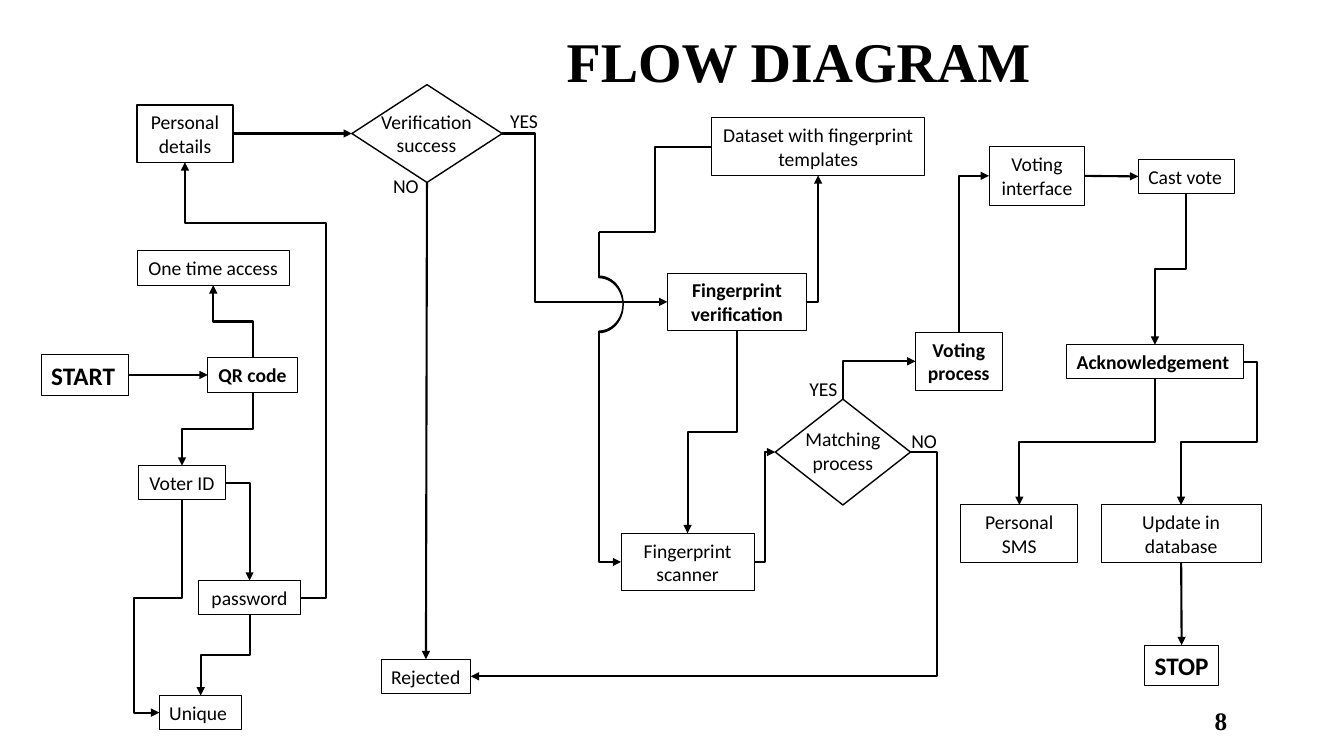
from lxml import etree
from pptx import Presentation
from pptx.dml.color import RGBColor
from pptx.enum.shapes import MSO_CONNECTOR as Link, MSO_SHAPE as Form
from pptx.enum.text import MSO_ANCHOR as Anchor, MSO_AUTO_SIZE as AutoSize, PP_ALIGN as Align
from pptx.oxml.ns import qn
from pptx.util import Inches, Pt

BLACK = "000000"
SIDES = ["top", "left", "bottom", "right"]  # order of the connection sites
UPRIGHT = ("top", "bottom")

deck = Presentation()
deck.slide_width, deck.slide_height = Inches(13.33), Inches(7.5)
page = deck.slides.add_slide(deck.slide_layouts[6])
boxes = {}


def write(box, text, size=14, bold=False, align=Align.CENTER, font="Calibri"):
    frame = box.text_frame
    frame.word_wrap = True
    para = frame.paragraphs[0]
    para.alignment = align
    span = para.add_run()
    span.text = text
    span.font.name, span.font.size, span.font.bold = font, Pt(size), bold
    span.font.color.rgb = RGBColor.from_string(BLACK)
    return frame


def join(start, end, bends=(), arrow=True):
    """Link two (box name or point, side) ends; bends are the elbow adjustments."""
    (source, start_side), (target, end_side) = start, end
    link = page.shapes.add_connector(Link.STRAIGHT, 0, 0, 0, 0)
    if source in boxes:
        link.begin_connect(boxes[source], SIDES.index(start_side))
    else:
        link.begin_x, link.begin_y = map(Inches, source)
    if target in boxes:
        link.end_connect(boxes[target], SIDES.index(end_side))
    else:
        link.end_x, link.end_y = map(Inches, target)
    link.line.width = Pt(1.5)
    link.line.color.rgb = RGBColor.from_string(BLACK)
    props = link._element.spPr
    if arrow:
        etree.SubElement(props.find(qn("a:ln")), qn("a:tailEnd"), type="triangle")
    etree.SubElement(props, qn("a:effectLst"))

    dx, dy = link.end_x - link.begin_x, link.end_y - link.begin_y
    if min(abs(dx), abs(dy)) < Inches(0.03):
        return
    same_axis = (start_side in UPRIGHT) == (end_side in UPRIGHT)
    geometry = props.find(qn("a:prstGeom"))
    geometry.set("prst", f"bentConnector{3 if same_axis else 2 + len(bends)}")
    guides = geometry.find(qn("a:avLst"))
    for number, bend in enumerate(bends, 1):
        etree.SubElement(guides, qn("a:gd"), name=f"adj{number}", fmla=f"val {round(bend * 100000)}")
    if start_side in UPRIGHT:
        # An elbow leaves sideways, so one that leaves up or down is turned about its centre
        center_x, center_y = link.begin_x + dx // 2, link.begin_y + dy // 2
        frame = props.find(qn("a:xfrm"))
        frame.set("rot", str((90 if dx * dy < 0 else 270) * 60000))
        frame.set("flipH", str(int(dx > 0)))
        frame.set("flipV", str(int(dy < 0)))
        link.width, link.height = abs(dy), abs(dx)
        link.left, link.top = center_x - abs(dy) // 2, center_y - abs(dx) // 2


# Steps: text, left, top, width, height, size, bold
steps = [
    ("START", 0.41, 3.52, 0.87, 0.4, 18, True),
    ("QR code", 2.06, 3.55, 0.89, 0.34, 14, True),
    ("One time access", 1.36, 2.49, 1.51, 0.34, 14, False),
    ("Voter ID", 1.37, 4.62, 0.87, 0.34, 14, False),
    ("password", 1.97, 5.76, 1.01, 0.34, 14, False),
    ("Unique", 1.58, 6.9, 0.82, 0.34, 14, False),
    ("Personal details", 1.36, 1.04, 0.95, 0.57, 14, False),
    ("Rejected", 3.78, 6.54, 0.89, 0.34, 14, False),
    ("Fingerprint verification", 6.62, 2.71, 1.38, 0.57, 14, True),
    ("Dataset with fingerprint templates", 7.06, 1.17, 2.11, 0.57, 14, False),
    ("Fingerprint scanner", 6.16, 5.29, 1.32, 0.57, 14, False),
    ("Voting process", 9.08, 3.3, 0.86, 0.57, 14, True),
    ("Voting interface", 9.81, 1.45, 0.95, 0.59, 14, False),
    ("Cast vote", 11.29, 1.58, 0.95, 0.34, 14, False),
    ("Acknowledgement", 10.58, 3.42, 1.75, 0.34, 14, True),
    ("Personal SMS", 9.53, 5.01, 1.16, 0.57, 14, False),
    ("Update in database", 10.92, 5.01, 1.59, 0.57, 14, False),
    ("STOP", 11.35, 6.4, 0.74, 0.4, 18, True),
]
left_aligned = ("START", "Unique", "Rejected", "Cast vote", "Acknowledgement")
decisions = [
    ("Verification success", 3.49, 0.84, 1.49, 0.97),
    ("Matching process", 7.69, 3.96, 1.34, 1.05),
]
for text, *place, size, bold in steps:
    boxes[text] = page.shapes.add_shape(Form.RECTANGLE, *map(Inches, place))
    align = Align.LEFT if text in left_aligned else Align.CENTER
    write(boxes[text], text, size, bold, align).auto_size = AutoSize.SHAPE_TO_FIT_TEXT
for text, *place in decisions:
    boxes[text] = page.shapes.add_shape(Form.DIAMOND, *map(Inches, place))
for text, box in boxes.items():
    box.shadow.inherit = False
    box.fill.background()
    box.line.color.rgb = RGBColor.from_string(BLACK)
    box.line.width = Pt(0.75 if text in [step[0] for step in steps] else 1)
boxes["Personal details"].line.width = Pt(1)

# Labels: text, left, top, width, height, alignment
labels = [
    ("Verification success", 3.67, 1.04, 1.12, 0.57, Align.CENTER),
    ("Matching process", 7.78, 4.19, 1.16, 0.57, Align.CENTER),
    ("YES", 4.96, 1.03, 0.52, 0.34, Align.LEFT),
    ("NO", 3.8, 1.68, 0.46, 0.34, Align.LEFT),
    ("YES", 7.93, 3.69, 0.5, 0.34, Align.LEFT),
    ("NO", 8.94, 4.21, 0.64, 0.34, Align.LEFT),
]
for text, *place, align in labels:
    label = page.shapes.add_textbox(*map(Inches, place))
    write(label, text, align=align).auto_size = AutoSize.SHAPE_TO_FIT_TEXT

# The dataset line hops over the verification line
hop_top, hop_bottom = (5.94, 2.74), (5.94, 3.29)
hop = page.shapes.add_shape(Form.CURVED_LEFT_ARROW, *map(Inches, (*hop_top, 0.24, 0.56)))
hop.shadow.inherit = False
for index, value in enumerate((0.25, 0.06, 0)):
    hop.adjustments[index] = value
hop.fill.solid()
hop.fill.fore_color.rgb = RGBColor.from_string(BLACK)
hop.line.color.rgb = RGBColor.from_string(BLACK)
hop.line.width = Pt(1)

flows = [
    ("START", "right", "QR code", "left"),
    ("QR code", "top", "One time access", "bottom", 0.5),
    ("QR code", "bottom", "Voter ID", "top", 0.5),
    ("Voter ID", "right", "password", "top"),
    ("Voter ID", "bottom", "Unique", "left", 0.46, 2.12),
    ("password", "bottom", "Unique", "top", 0.5),
    ("password", "right", "Personal details", "bottom", -0.22, 0.86),
    ("Personal details", "right", "Verification success", "left"),
    ("Verification success", "bottom", "Rejected", "top"),
    ("Verification success", "right", "Fingerprint verification", "left", 0.2),
    ("Fingerprint verification", "right", "Dataset with fingerprint templates", "bottom"),
    ("Fingerprint verification", "bottom", "Fingerprint scanner", "top", 0.5),
    (hop_bottom, "bottom", "Fingerprint scanner", "left"),
    ("Fingerprint scanner", "right", "Matching process", "left", 0.5),
    ("Matching process", "top", "Voting process", "left"),
    ("Matching process", "right", "Rejected", "right", -0.06),
    ("Voting process", "top", "Voting interface", "left"),
    ("Voting interface", "right", "Cast vote", "left"),
    ("Cast vote", "bottom", "Acknowledgement", "top", 0.5),
    ("Acknowledgement", "bottom", "Personal SMS", "top", 0.5),
    ("Acknowledgement", "right", "Update in database", "top", -0.23, 0.56),
    ("Update in database", "bottom", "STOP", "top"),
]
for source, start_side, target, end_side, *bends in flows:
    join((source, start_side), (target, end_side), bends)
hop_lead = (5.94, 2.3)
join(("Dataset with fingerprint templates", "left"), (hop_lead, "right"), [0.5], arrow=False)
join((hop_lead, "bottom"), (hop_top, "top"), arrow=False)

title = page.shapes.add_textbox(Inches(2.52), Inches(0.29), Inches(10.8), Inches(0.68))
frame = write(title, "FLOW DIAGRAM", 40, True, font="Times New Roman")
frame.vertical_anchor = Anchor.BOTTOM
frame.paragraphs[0].line_spacing = 0.8

number = page.shapes.add_textbox(Inches(9.27), Inches(6.95), Inches(3), Inches(0.4))
write(number, "8", 18, True, Align.RIGHT, "Times New Roman").vertical_anchor = Anchor.MIDDLE

deck.save("out.pptx")
